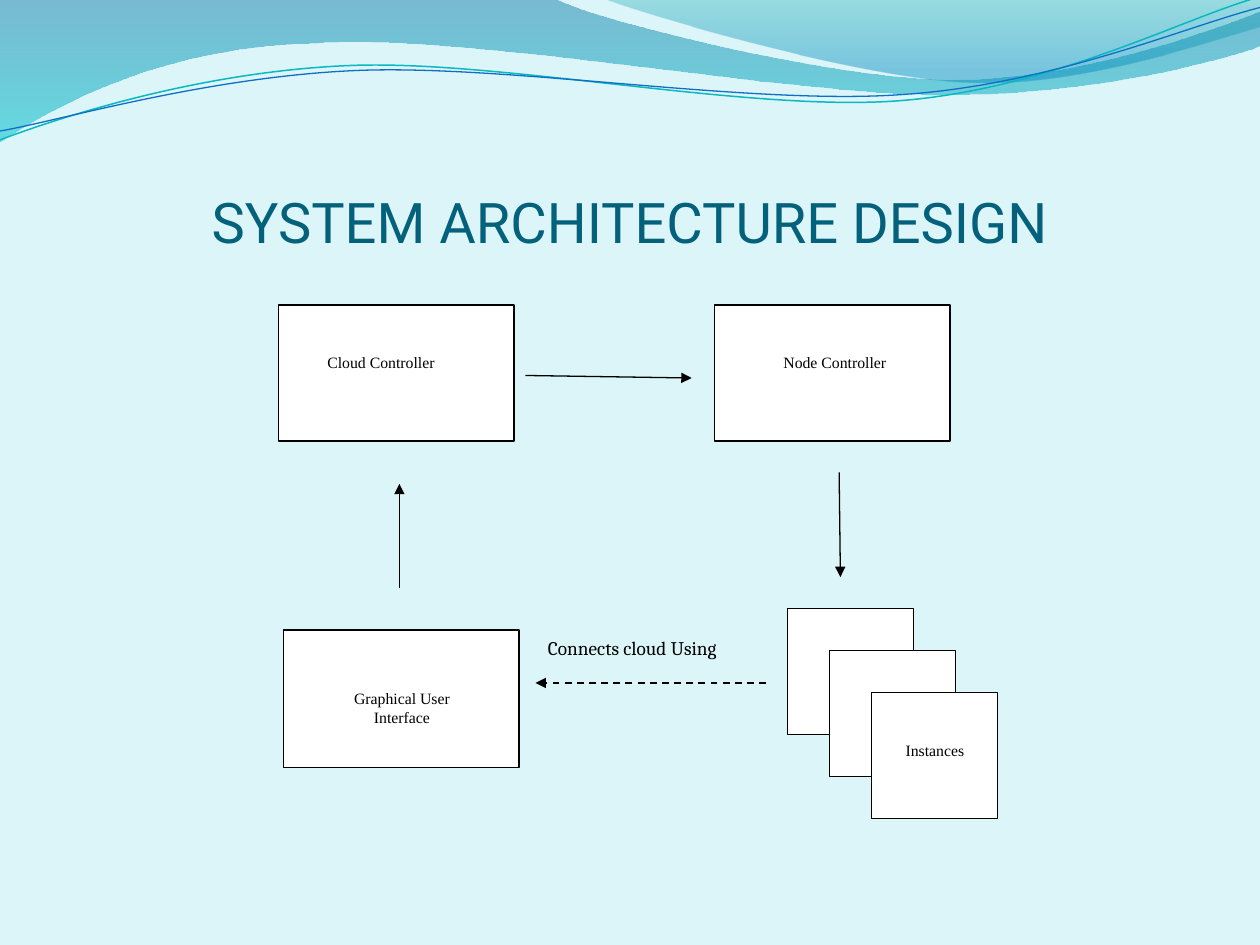
import math
from dataclasses import dataclass
from typing import Optional

from lxml import etree
from pptx import Presentation
from pptx import util as u
from pptx.dml.color import RGBColor
from pptx.enum import dml, shapes, text
from pptx.oxml import parse_xml
from pptx.oxml.ns import nsdecls, qn

Point = tuple[float, float]
Stop = tuple[int, str, int]


@dataclass(frozen=True)
class Theme:
    background: str = "DBF5F9"
    title: str = "04617B"
    ink: str = "000000"
    paper: str = "FFFFFF"
    teal_line: str = "0AB8BF"
    blue_line: str = "0F6FC6"
    title_font: str = "Roboto"
    label_font: str = "Times New Roman"
    note_font: str = "Cambria"
    title_size: float = 32
    label_size: float = 9
    note_size: float = 11
    outline: float = 0.75


@dataclass(frozen=True)
class Box:
    left: float
    top: float
    width: float
    height: float


@dataclass(frozen=True)
class Label:
    words: str
    box: Box
    align: text.PP_ALIGN = text.PP_ALIGN.CENTER


@dataclass(frozen=True)
class Arrow:
    start: Point
    end: Point
    width: float = 0.75
    dashed: bool = False


@dataclass(frozen=True)
class Wave:
    start: Point
    steps: tuple[tuple[Point, ...], ...]
    stops: tuple[Stop, ...] = ()
    line: Optional[str] = None
    width: float = 0.75
    tilt: float = 0
    pivot: Point = (0, 0)


THEME = Theme()

WAVES = (
    Wave((0, 0), (
        ((4.4, -0.01),),
        ((4.76, 0.17), (6.64, 0.63), (7.58, 0.63)),
        ((8.53, 0.63), (9.58, 0.26), (10, 0.09)),
        ((10.01, 0.36),),
        ((9.83, 0.44), (8.7, 0.76), (7.46, 0.75)),
        ((6.22, 0.75), (3.82, 0.28), (2.57, 0.34)),
        ((1.29, 0.36), (0.46, 0.83), (-0.01, 1.13)),
    ), stops=((0, "0074A1", 45), (100, "00C6CF", 55))),
    Wave((4.79, -0.01), (
        ((5.09, 0.11), (6.82, 0.62), (7.69, 0.65)),
        ((8.56, 0.69), (9.61, 0.32), (10, 0.21)),
        ((10, 0),),
    ), stops=((0, "00A1A9", 30), (80, "008BBF", 45))),
    Wave((0, 1.11), (
        ((0.48, 0.93), (1.58, 0.57), (2.77, 0.52)),
        ((3.95, 0.47), (5.93, 0.89), (7.13, 0.8)),
        ((8.33, 0.71), (9.38, 0.15), (9.98, -0.02)),
    ), line=THEME.teal_line, width=0.85, tilt=-2.7, pivot=(4.99, 0.57)),
    Wave((0, 1.04), (
        ((0.47, 0.96), (1.64, 0.61), (2.83, 0.56)),
        ((4.03, 0.51), (5.97, 0.84), (7.17, 0.75)),
        ((8.36, 0.67), (9.41, 0.21), (10, 0.06)),
    ), line=THEME.blue_line, tilt=-2.7, pivot=(5, 0.59)),
)
CLOUD, NODE = (Box(left, 2.42, 1.87, 1.08) for left in (2.21, 5.67))
INTERFACE = Box(2.25, 5, 1.87, 1.09)
INSTANCES = tuple(Box(6.25 + i / 3, 4.83 + i / 3, 1, 1) for i in range(3))
ARROWS = (
    Arrow((3.17, 4.67), (3.17, 3.84)),
    Arrow((4.17, 2.98), (5.49, 3)),
    Arrow((6.66, 3.75), (6.67, 4.58)),
    Arrow((6.08, 5.42), (4.25, 5.42), width=1, dashed=True),
)
LABELS = (
    Label("Cloud Controller", Box(2.5, 2.75, 1.16, 0.46), text.PP_ALIGN.LEFT),
    Label("Node Controller", Box(6, 2.75, 1.25, 0.46)),
    Label("Graphical User Interface", Box(2.5, 5.42, 1.38, 0.42)),
    Label("Instances", Box(7.08, 5.83, 0.68, 0.46)),
)
NOTE = Label("Connects cloud Using", Box(4.25, 5, 1.92, 0.29), text.PP_ALIGN.LEFT)


def rgb(value: str) -> RGBColor:
    return RGBColor.from_string(value)


def place(box: Box) -> tuple[u.Length, ...]:
    return tuple(u.Inches(v) for v in (box.left, box.top, box.width, box.height))


def emu(point: Point) -> tuple[u.Length, u.Length]:
    return u.Inches(point[0]), u.Inches(point[1])


def level(point: Point, wave: Wave) -> Point:
    angle = math.radians(-wave.tilt)
    dx, dy = point[0] - wave.pivot[0], point[1] - wave.pivot[1]
    return (wave.pivot[0] + dx * math.cos(angle) - dy * math.sin(angle),
            wave.pivot[1] + dx * math.sin(angle) + dy * math.cos(angle))


def bend(sp, wave: Wave) -> None:
    segments = iter(list(sp._element.iter(qn("a:lnTo"))))
    for step in wave.steps:
        first, *rest = [next(segments) for _ in step]
        if rest:
            first.tag = qn("a:cubicBezTo")
            for segment in rest:
                first.append(segment[0])
                segment.getparent().remove(segment)


def gradient(stops: tuple[Stop, ...]) -> etree._Element:
    marks = "".join(
        f'<a:gs pos="{pos * 1000}"><a:srgbClr val="{color}">'
        f'<a:alpha val="{alpha * 1000}"/></a:srgbClr></a:gs>'
        for pos, color, alpha in stops
    )
    return parse_xml(
        f'<a:gradFill {nsdecls("a")}><a:gsLst>{marks}</a:gsLst>'
        '<a:lin ang="5400000" scaled="0"/></a:gradFill>'
    )


def draw_wave(slide, wave: Wave) -> None:
    points = [emu(level(p, wave)) for step in ((wave.start,), *wave.steps) for p in step]
    builder = slide.shapes.build_freeform(*points[0])
    builder.add_line_segments(points[1:], close=bool(wave.stops))
    sp = builder.convert_to_shape()
    bend(sp, wave)
    sp.rotation = wave.tilt
    sp.shadow.inherit = False
    sp.fill.background()
    if wave.stops:
        sp.line.fill.background()
        blank = sp._element.spPr.find(qn("a:noFill"))
        blank.getparent().replace(blank, gradient(wave.stops))
    else:
        sp.line.color.rgb = rgb(wave.line)
        sp.line.width = u.Pt(wave.width)


def draw_box(slide, box: Box, outlined: bool = True):
    sp = slide.shapes.add_shape(shapes.MSO_SHAPE.RECTANGLE, *place(box))
    sp.shadow.inherit = False
    sp.fill.solid()
    sp.fill.fore_color.rgb = rgb(THEME.paper)
    if outlined:
        sp.line.color.rgb = rgb(THEME.ink)
        sp.line.width = u.Pt(THEME.outline)
    else:
        sp.line.fill.background()
    return sp


def write(sp, words: str, align: text.PP_ALIGN, font: str, size: float, color: str):
    tf = sp.text_frame
    tf.word_wrap = True
    tf.text = words
    p = tf.paragraphs[0]
    p.alignment = align
    r = p.runs[0]
    r.font.name, r.font.size, r.font.color.rgb = font, u.Pt(size), rgb(color)
    return tf


def draw_label(slide, label: Label) -> None:
    sp = draw_box(slide, label.box, outlined=False)
    tf = write(sp, label.words, label.align, THEME.label_font, THEME.label_size, THEME.ink)
    tf.vertical_anchor = text.MSO_ANCHOR.TOP
    tf.paragraphs[0].space_after = u.Pt(10)


def draw_arrow(slide, arrow: Arrow) -> None:
    cx = slide.shapes.add_connector(
        shapes.MSO_CONNECTOR.STRAIGHT, *emu(arrow.start), *emu(arrow.end))
    cx.line.color.rgb = rgb(THEME.ink)
    cx.line.width = u.Pt(arrow.width)
    if arrow.dashed:
        cx.line.dash_style = dml.MSO_LINE.DASH
    etree.SubElement(cx.line._get_or_add_ln(), qn("a:tailEnd"), type="triangle")
    etree.SubElement(cx._element.spPr, qn("a:effectLst"))


def draw_title(slide, words: str) -> None:
    sp = slide.shapes.title
    sp.left, sp.top, sp.width, sp.height = place(Box(0.5, 0.77, 9, 1.25))
    tf = write(sp, words, text.PP_ALIGN.CENTER, THEME.title_font, THEME.title_size, THEME.title)
    tf.vertical_anchor = text.MSO_ANCHOR.BOTTOM
    tf.margin_left = tf.margin_right = tf.margin_bottom = 0
    tf.margin_top = u.Inches(0.05)


def main() -> None:
    prs = Presentation()
    prs.slide_width, prs.slide_height = u.Inches(10), u.Inches(7.5)
    slide = prs.slides.add_slide(prs.slide_layouts[5])
    slide.background.fill.solid()
    slide.background.fill.fore_color.rgb = rgb(THEME.background)
    for wave in WAVES:
        draw_wave(slide, wave)
    draw_title(slide, "SYSTEM ARCHITECTURE DESIGN")
    for box in (CLOUD, *INSTANCES, INTERFACE, NODE):
        draw_box(slide, box)
    for arrow in ARROWS:
        draw_arrow(slide, arrow)
    for label in LABELS:
        draw_label(slide, label)
    note = slide.shapes.add_textbox(*place(NOTE.box))
    tf = write(note, NOTE.words, NOTE.align, THEME.note_font, THEME.note_size, THEME.ink)
    tf.auto_size = text.MSO_AUTO_SIZE.SHAPE_TO_FIT_TEXT
    prs.save("out.pptx")


main()
